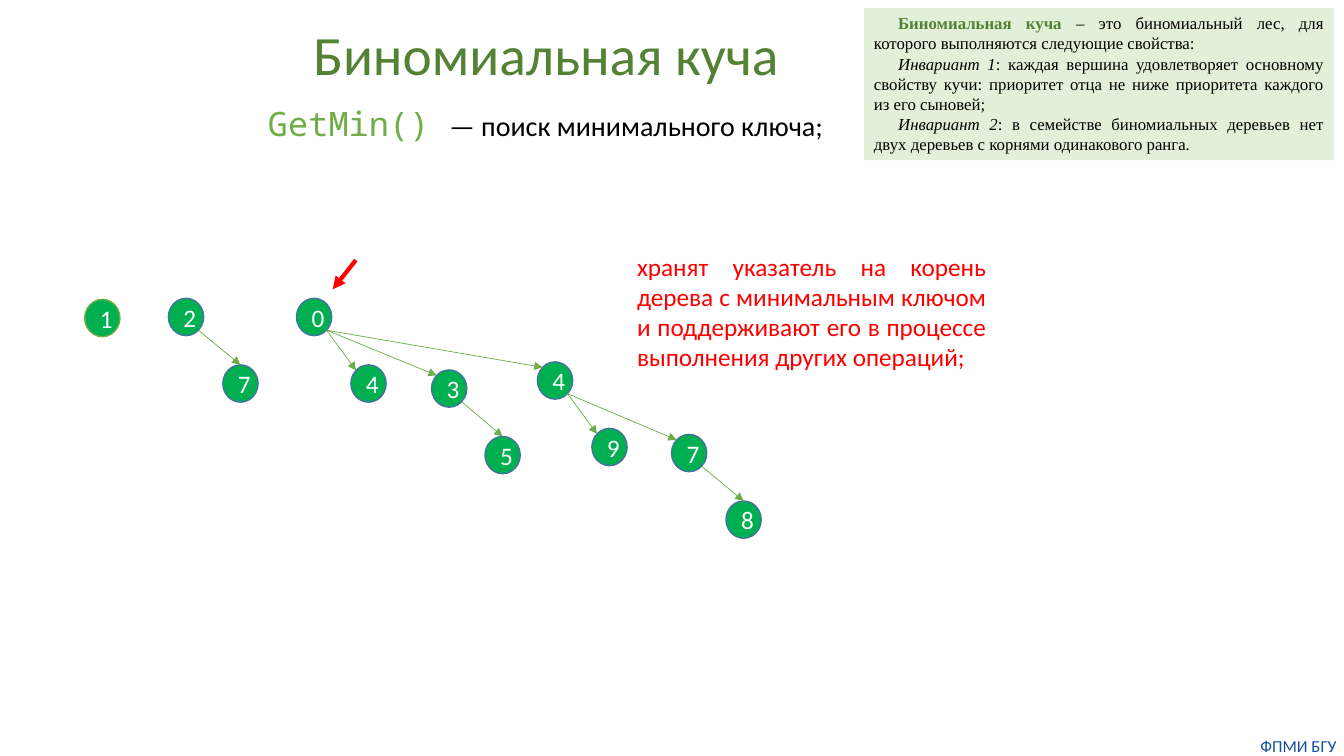
from math import sqrt

from lxml.etree import SubElement
from pptx import Presentation
from pptx.dml.color import RGBColor
from pptx.enum.shapes import MSO_CONNECTOR as Line, MSO_SHAPE as Shape
from pptx.enum.text import MSO_ANCHOR as Anchor, PP_ALIGN as Align
from pptx.oxml.ns import qn
from pptx.util import Inches, Pt

WHITE = RGBColor(0xFF, 0xFF, 0xFF)
BLACK = RGBColor(0, 0, 0)
RED = RGBColor(0xFF, 0, 0)
NAVY = RGBColor(0x14, 0x4E, 0x9D)
DARK = RGBColor(0x54, 0x82, 0x35)
GREEN = RGBColor(0x70, 0xAD, 0x47)
PALE = RGBColor(0xE2, 0xF0, 0xD9)
NODE = RGBColor(0x00, 0xB0, 0x50)
RIM = RGBColor(0x43, 0x73, 0x9E)

SANS, MONO, SERIF = "Calibri", "Noto Sans Mono", "Times New Roman"

TITLE = "Биномиальная куча"
FOOTER = "ФПМИ БГУ"
METHOD = "GetMin() "
PURPOSE = "— поиск минимального ключа;"
NOTE = ("хранят указатель на корень дерева с минимальным ключом "
        "и поддерживают его в процессе выполнения других операций; ")
# Each rule: lead words, the rest
RULES = [
    ("Биномиальная куча ",
     "– это биномиальный лес, для которого выполняются следующие свойства:"),
    ("Инвариант 1",
     ": каждая вершина удовлетворяет основному свойству кучи: приоритет отца "
     "не ниже приоритета каждого из его сыновей;"),
    ("Инвариант 2",
     ": в семействе биномиальных деревьев нет двух деревьев с корнями "
     "одинакового ранга."),
]

# Each tree: key, left, top, rim colour, children
FOREST = [
    ("1", 0.84, 2.97, GREEN, []),
    ("2", 1.67, 2.96, RIM, [("7", 2.21, 3.62, RIM, [])]),
    ("0", 2.94, 2.96, RIM, [
        ("4", 3.48, 3.62, RIM, []),
        ("3", 4.28, 3.67, RIM, [("5", 4.81, 4.33, RIM, [])]),
        ("4", 5.33, 3.59, RIM, [
            ("9", 5.87, 4.25, RIM, []),
            ("7", 6.66, 4.31, RIM, [("8", 7.2, 4.97, RIM, [])]),
        ]),
    ]),
]
WIDE, HIGH = 0.35, 0.37
NEAR = (1 - 1 / sqrt(2)) / 2  # where a diagonal meets the oval, as a share
FAR = 1 - NEAR

deck = Presentation()
deck.slide_width, deck.slide_height = Inches(13.33), Inches(7.5)
slide = deck.slides.add_slide(deck.slide_layouts[6])
shapes = slide.shapes


def style(font, name, size, color):
    font.name, font.size = name, Pt(size)
    font.color.rgb = color


def add_box(left, top, wide, high):
    box = shapes.add_textbox(*map(Inches, (left, top, wide, high)))
    box.text_frame.word_wrap = True
    return box


def add_text(area, text, size, color, align):
    box = add_box(*area)
    para = box.text_frame.paragraphs[0]
    para.text, para.alignment = text, align
    style(para.font, SANS, size, color)
    return box.text_frame


def add_arrow(start, end, color, width):
    arrow = shapes.add_connector(Line.STRAIGHT, *map(Inches, (*start, *end)))
    arrow.line.color.rgb, arrow.line.width = color, Pt(width)
    SubElement(arrow.line._get_or_add_ln(), qn("a:tailEnd"), type="triangle")
    SubElement(arrow._element.spPr, qn("a:effectLst"))


def add_tree(tree):
    """Draw a node, then its subtrees and the arrows to them."""
    key, left, top, rim, kids = tree
    node = shapes.add_shape(Shape.OVAL, *map(Inches, (left, top, WIDE, HIGH)))
    node.shadow.inherit = False
    node.fill.solid()
    node.fill.fore_color.rgb = NODE
    node.line.color.rgb, node.line.width = rim, Pt(1)
    frame = node.text_frame
    frame.vertical_anchor = Anchor.MIDDLE
    para = frame.paragraphs[0]
    para.text, para.alignment = key, Align.CENTER
    style(para.font, SANS, 18, WHITE)

    start = left + FAR * WIDE, top + FAR * HIGH
    # An only child is met at its top, the others at their upper left
    across, down = (0.5, 0) if len(kids) == 1 else (NEAR, NEAR)
    for kid in kids:
        add_tree(kid)
        end = kid[1] + across * WIDE, kid[2] + down * HIGH
        add_arrow(start, end, GREEN, 0.5)


def add_rules():
    box = add_box(8.57, 0.08, 4.66, 1.51)
    box.fill.solid()
    box.fill.fore_color.rgb = PALE
    frame = box.text_frame
    for i, (lead, rest) in enumerate(RULES):
        para = frame.add_paragraph() if i else frame.paragraphs[0]
        para.alignment = Align.JUSTIFY
        para._p.get_or_add_pPr().set("indent", str(Inches(0.24)))
        style(para.font, SERIF, 12, BLACK)
        head = para.add_run()
        head.text = lead
        if i:
            head.font.italic = True
        else:
            head.font.bold = True
            head.font.color.rgb = DARK
        para.add_run().text = rest


foot = add_text((12.43, 7.3, 0.9, 0.2), FOOTER, 12, NAVY, Align.CENTER)
foot.margin_left = foot.margin_right = foot.margin_top = foot.margin_bottom = 0
title = add_text((2.79, 0.21, 5.25, 0.73), TITLE, 39.6, DARK, Align.CENTER)
title.vertical_anchor = Anchor.MIDDLE
title.paragraphs[0].line_spacing = 0.9

for tree in FOREST:
    add_tree(tree)

call = add_box(2.56, 0.97, 5.84, 0.5).text_frame.paragraphs[0]
for text, look in [(METHOD, (MONO, 24, GREEN)), (PURPOSE, (SANS, 20, BLACK))]:
    run = call.add_run()
    run.text = text
    style(run.font, *look)

add_arrow((3.53, 2.58), (3.3, 2.87), RED, 3)
add_text((6.22, 2.44, 3.66, 1.31), NOTE, 18, RED, Align.JUSTIFY)
add_rules()

deck.save("out.pptx")
